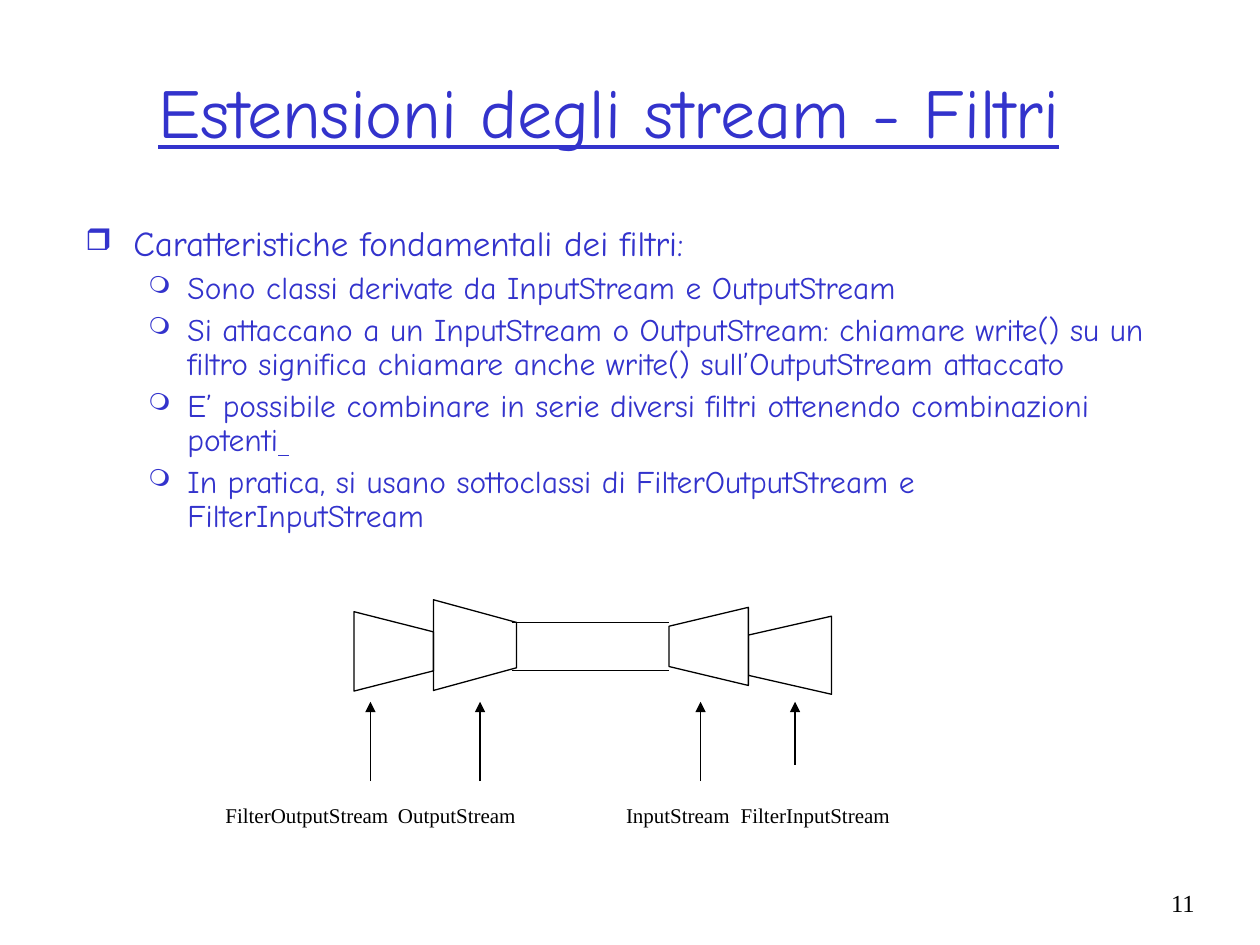
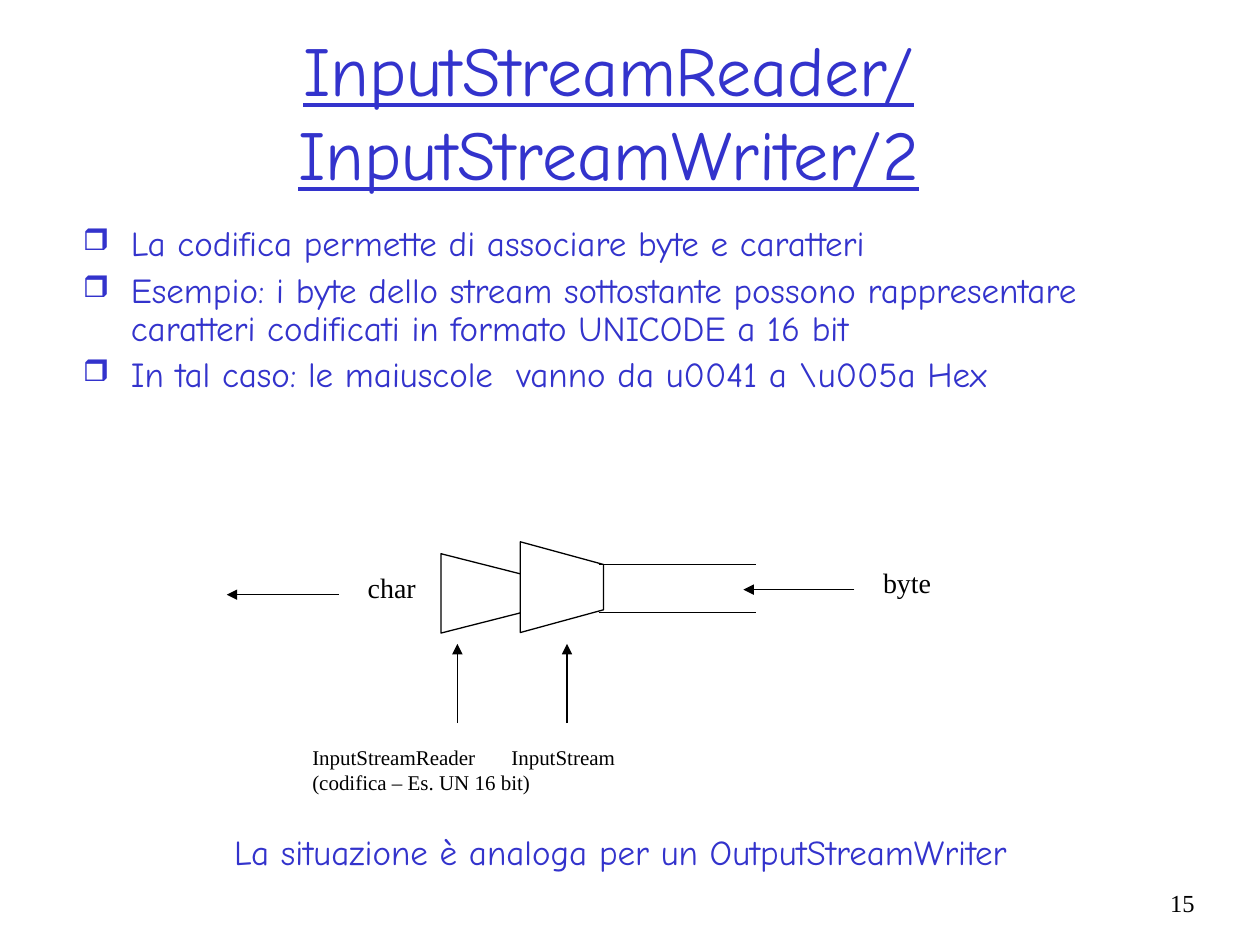
from lxml import etree
from pptx import Presentation
from pptx.dml.color import RGBColor
from pptx.enum import shapes, text
from pptx.oxml import ns
from pptx.util import Inches, Pt

BLUE = RGBColor(0x33, 0x33, 0xCC)
BLACK = RGBColor(0, 0, 0)
WHITE = RGBColor(0xFF, 0xFF, 0xFF)
HEADING_FONT = "Comic Neue"
LABEL_FONT = "Times New Roman"
TITLE_ONLY = 5
BULLETS = [
    dict(char="❒", scale=85, margin=0.38, hanging=0.38, size=20, before=5),
    dict(char="❍", scale=75, margin=0.81, hanging=0.31, size=18, before=4.5),
]


def add_xml(parent, tag, **attributes):
    return etree.SubElement(parent, ns.qn(tag), attributes)


def write(paragraph, content, size=12, font=LABEL_FONT, color=BLACK,
          underline=None, align=None):
    if align is not None:
        paragraph.alignment = align
    for index, line in enumerate(content.split("\n")):
        if index:
            paragraph.add_line_break()
        run = paragraph.add_run()
        run.text = line
        run.font.size = Pt(size)
        run.font.name = font
        run.font.color.rgb = color
        run.font.underline = underline


class SlideBuilder:
    def __init__(self, presentation):
        self.presentation = presentation
        self.slide = None

    def start(self, title, number):
        layout = self.presentation.slide_layouts[TITLE_ONLY]
        self.slide = self.presentation.slides.add_slide(layout)
        shape = self.slide.shapes.title
        shape.left, shape.top = Inches(0.58), Inches(0.25)
        shape.width, shape.height = Inches(8.5), Inches(1.25)
        frame = shape.text_frame
        frame.auto_size = text.MSO_AUTO_SIZE.NONE
        frame.vertical_anchor = text.MSO_ANCHOR.MIDDLE
        write(frame.paragraphs[0], title, size=40, font=HEADING_FONT,
              color=BLUE, underline=True, align=text.PP_ALIGN.CENTER)
        self.text_box(9.08, 7, 0.5, 0.5, str(number), size=14,
                      align=text.PP_ALIGN.RIGHT)

    def text_box(self, left, top, width, height, content="", wrap=True, **style):
        shape = self.slide.shapes.add_textbox(
            Inches(left), Inches(top), Inches(width), Inches(height))
        shape.text_frame.word_wrap = wrap
        if content:
            write(shape.text_frame.paragraphs[0], content, **style)
        return shape

    def bullets(self, left, width, height, items):
        frame = self.text_box(left, 1.75, width, height).text_frame
        for index, (level, content) in enumerate(items):
            paragraph = frame.add_paragraph() if index else frame.paragraphs[0]
            self.bullet(paragraph, level, content)
        return frame

    def bullet(self, paragraph, level, content):
        style = BULLETS[level]
        paragraph.level = level
        paragraph.line_spacing = 0.9
        paragraph.space_before = Pt(style["before"])
        properties = paragraph._p.get_or_add_pPr()
        properties.set("marL", str(Inches(style["margin"])))
        properties.set("indent", str(-Inches(style["hanging"])))
        bullet_color = add_xml(properties, "a:buClr")
        add_xml(bullet_color, "a:srgbClr", val=str(BLUE))
        add_xml(properties, "a:buSzPct", val=str(style["scale"] * 1000))
        add_xml(properties, "a:buChar", char=style["char"])
        write(paragraph, content, size=style["size"], font=HEADING_FONT, color=BLUE)

    def funnel(self, wide_x, narrow_x, middle, wide, narrow):
        corners = [(wide_x, middle + wide / 2), (wide_x, middle - wide / 2),
                   (narrow_x, middle - narrow / 2), (narrow_x, middle + narrow / 2)]
        points = [(Inches(x), Inches(y)) for x, y in corners]
        builder = self.slide.shapes.build_freeform(*points[0])
        builder.add_line_segments(points[1:], close=True)
        shape = builder.convert_to_shape()
        shape.shadow.inherit = False
        shape.fill.solid()
        shape.fill.fore_color.rgb = WHITE
        shape.line.color.rgb = BLACK
        shape.line.width = Pt(0.75)

    def line(self, start_x, start_y, end_x, end_y, arrow=False):
        connector = self.slide.shapes.add_connector(
            shapes.MSO_CONNECTOR.STRAIGHT, Inches(start_x), Inches(start_y),
            Inches(end_x), Inches(end_y))
        connector.line.color.rgb = BLACK
        connector.line.width = Pt(0.75)
        if arrow:
            add_xml(connector.line._get_or_add_ln(), "a:tailEnd", type="triangle")
        add_xml(connector._element.spPr, "a:effectLst")

    def labels(self, left, top, width, rows, stops):
        shape = self.slide.shapes.add_shape(
            shapes.MSO_SHAPE.RECTANGLE, Inches(left), Inches(top),
            Inches(width), Inches(0.5))
        shape.shadow.inherit = False
        shape.fill.solid()
        shape.fill.fore_color.rgb = WHITE
        shape.line.fill.background()
        frame = shape.text_frame
        frame.word_wrap = True
        frame.vertical_anchor = text.MSO_ANCHOR.TOP
        for index, row in enumerate(rows):
            paragraph = frame.add_paragraph() if index else frame.paragraphs[0]
            write(paragraph, row, align=text.PP_ALIGN.LEFT)
            tabs = add_xml(paragraph._p.get_or_add_pPr(), "a:tabLst")
            for stop in stops:
                add_xml(tabs, "a:tab", pos=str(Inches(stop)), algn="l")

    def pipe(self, left, top, label_width, rows, stops):
        joint = left + 0.63
        self.funnel(joint, joint + 0.66, top + 0.36, 0.72, 0.36)
        self.funnel(left, joint, top + 0.41, 0.63, 0.31)
        for offset in (0.18, 0.56):
            self.line(left + 1.25, top + offset, left + 2.5, top + offset)
        self.labels(left - 1.12, top + 1.56, label_width, rows, stops)
        for offset in (0.13, 1):
            self.line(left + offset, top + 1.44, left + offset, top + 0.81, arrow=True)


def filters_slide(builder):
    builder.start("Estensioni degli stream - Filtri", 11)
    frame = builder.bullets(0.58, 8.6, 2.78, [
        (0, "Caratteristiche fondamentali dei filtri:"),
        (1, "Sono classi derivate da InputStream e OutputStream"),
        (1, "Si attaccano a un InputStream o OutputStream: chiamare write() su un "
            "filtro significa chiamare anche write() sull’OutputStream attaccato"),
        (1, "E’ possibile combinare in serie diversi filtri ottenendo "
            "combinazioni potenti"),
        (1, "In pratica, si usano sottoclassi di FilterOutputStream e "
            "FilterInputStream"),
    ])
    write(frame.paragraphs[3], " ", size=18, font=HEADING_FONT, color=BLUE,
          underline=True)
    builder.pipe(2.81, 4.76, 5.75, [
        "FilterOutputStream\tOutputStream\tInputStream\tFilterInputStream",
    ], stops=(1.37, 3.18, 4.09))
    builder.funnel(6.6, 5.94, 5.2, 0.62, 0.32)
    builder.funnel(5.94, 5.31, 5.13, 0.62, 0.32)
    for x, bottom in ((5.56, 6.2), (6.31, 6.07)):
        builder.line(x, bottom, x, 5.57, arrow=True)


def reader_slide(builder):
    builder.start("InputStreamReader/\nInputStreamWriter/2", 15)
    builder.bullets(0.56, 8.62, 1.72, [
        (0, "La codifica permette di associare byte e caratteri"),
        (0, "Esempio: i byte dello stream sottostante possono rappresentare "
            "caratteri codificati in formato UNICODE a 16 bit"),
        (0, "In tal caso: le maiuscole  vanno da u0041 a \\u005a Hex"),
    ])
    builder.pipe(3.5, 4.3, 2.95, [
        "InputStreamReader\tInputStream",
        "(codifica – Es. UN 16 bit)",
    ], stops=(1.58,))
    flows = [("byte", 6.91, 4.44, 6.78, 5.9, 4.68),
             ("char", 2.82, 4.48, 2.69, 1.8, 4.72)]
    for name, left, top, start_x, end_x, y in flows:
        builder.line(start_x, y, end_x, y, arrow=True)
        builder.text_box(left, top, 0.58, 0.37, name, wrap=False, size=16)
    builder.text_box(1.76, 6.54, 6.35, 0.44,
                     "La situazione è analoga per un OutputStreamWriter",
                     wrap=False, size=20, font=HEADING_FONT, color=BLUE)


def main():
    presentation = Presentation()
    presentation.slide_width = Inches(10)
    presentation.slide_height = Inches(7.5)
    builder = SlideBuilder(presentation)
    filters_slide(builder)
    reader_slide(builder)
    presentation.save("out.pptx")


if __name__ == "__main__":
    main()
